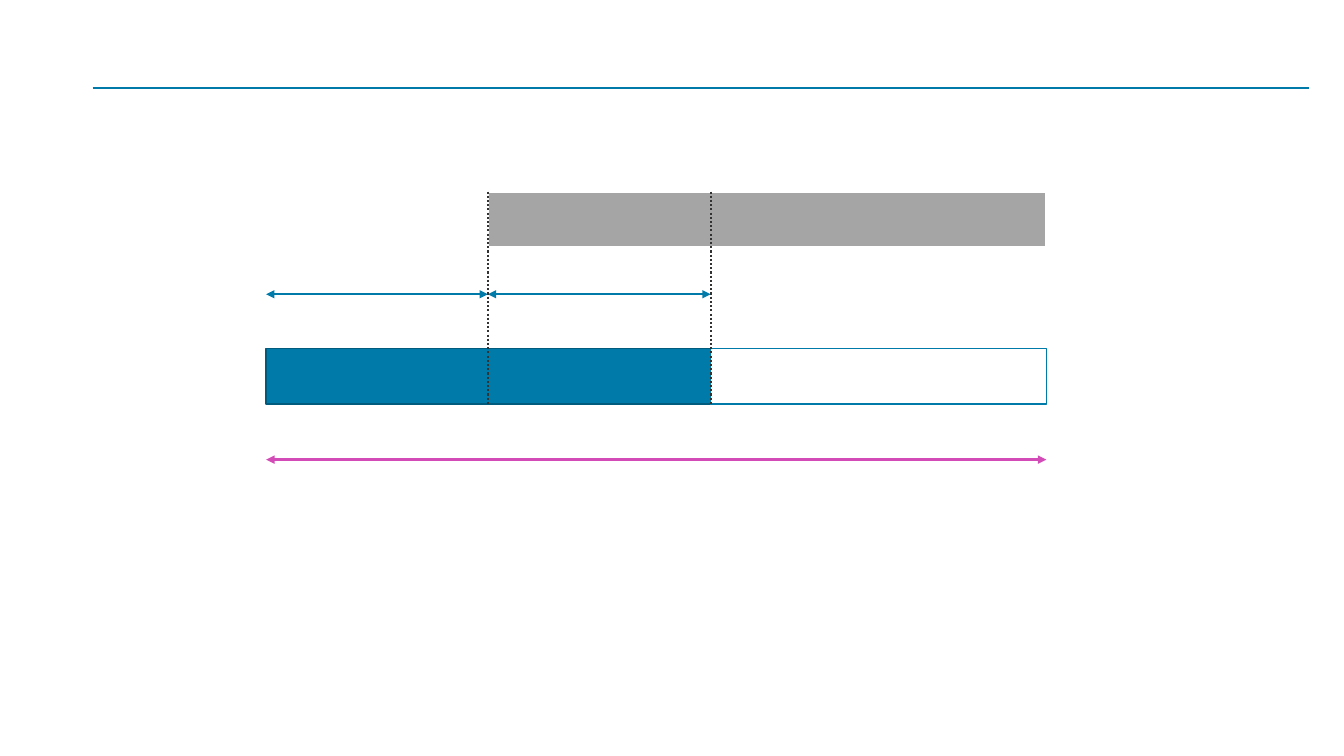
"""Build a slide of two offset bars with span arrows and dotted guides."""
from lxml import etree
from pptx import Presentation
from pptx.dml.color import RGBColor
from pptx.enum.dml import MSO_LINE
from pptx.enum.shapes import MSO_CONNECTOR, MSO_SHAPE
from pptx.oxml.ns import qn
from pptx.util import Pt

RECTANGLE = MSO_SHAPE.RECTANGLE
STRAIGHT = MSO_CONNECTOR.STRAIGHT
DOTTED = MSO_LINE.ROUND_DOT

COLORS = {
    "blue": "007BA9",
    "dark_blue": "005B7D",
    "white": "FFFFFF",
    "gray": "A5A5A5",
    "pink": "D34BB6",
    "guide": "323232",
}

START, OVERLAP_START, OVERLAP_END, END = 190.1, 348.5, 507.6, 747.4
UPPER_TOP, LOWER_TOP, BAR_HEIGHT = 136.8, 249.1, 39.6
RULE_Y, PART_SPAN_Y, FULL_SPAN_Y = 62.6, 210.2, 328.3


def rgb(name):
    return RGBColor.from_string(COLORS[name])


def add_bar(slide, left, right, top, fill, outline, width):
    shape = slide.shapes.add_shape(
        RECTANGLE, Pt(left), Pt(top), Pt(right - left), Pt(BAR_HEIGHT))
    shape.shadow.inherit = False
    shape.fill.solid()
    shape.fill.fore_color.rgb = rgb(fill)
    shape.line.color.rgb = rgb(outline)
    shape.line.width = Pt(width)


def add_line(slide, start, end, color, width):
    connector = slide.shapes.add_connector(
        STRAIGHT, Pt(start[0]), Pt(start[1]), Pt(end[0]), Pt(end[1]))
    connector.line.color.rgb = rgb(color)
    connector.line.width = Pt(width)
    etree.SubElement(connector.element.spPr, qn("a:effectLst"))
    return connector


def add_span(slide, left, right, y, color, width):
    connector = add_line(slide, (left, y), (right, y), color, width)
    outline = connector.line._get_or_add_ln()
    for tag in ("a:headEnd", "a:tailEnd"):
        etree.SubElement(outline, qn(tag), type="triangle")


def add_guide(slide, x):
    connector = add_line(
        slide, (x, UPPER_TOP), (x, LOWER_TOP + BAR_HEIGHT), "guide", 1.5)
    connector.line.dash_style = DOTTED


def main():
    presentation = Presentation()
    presentation.slide_width = Pt(960)
    presentation.slide_height = Pt(540)
    slide = presentation.slides.add_slide(presentation.slide_layouts[6])

    add_line(slide, (66.2, RULE_Y), (935.3, RULE_Y), "blue", 1.5)

    add_bar(slide, START, OVERLAP_END, LOWER_TOP, "blue", "dark_blue", 1)
    add_bar(slide, OVERLAP_END, END, LOWER_TOP, "white", "blue", 1)
    add_bar(slide, OVERLAP_START, END, UPPER_TOP, "gray", "white", 1.5)

    add_span(slide, START, END, FULL_SPAN_Y, "pink", 2)
    add_span(slide, OVERLAP_START, OVERLAP_END, PART_SPAN_Y, "blue", 1.25)
    add_span(slide, START, OVERLAP_START, PART_SPAN_Y, "blue", 1.25)

    for x in (OVERLAP_START, OVERLAP_END):
        add_guide(slide, x)

    presentation.save("out.pptx")


if __name__ == "__main__":
    main()
